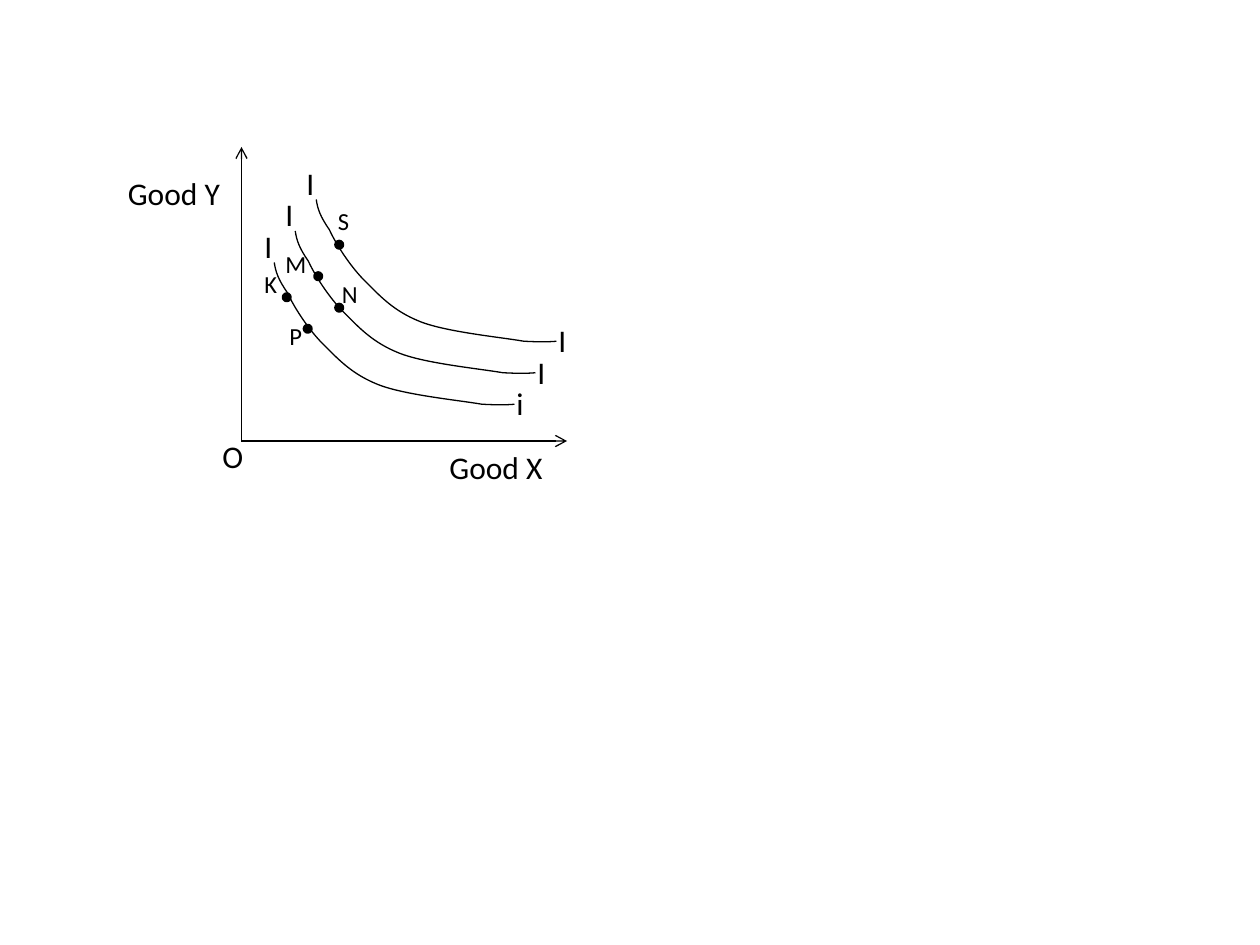
from dataclasses import dataclass

from pptx import Presentation
from pptx.dml.color import RGBColor
from pptx.enum.shapes import MSO_CONNECTOR, MSO_SHAPE
from pptx.enum.text import MSO_AUTO_SIZE
from pptx.oxml.ns import qn
from pptx.oxml.xmlchemy import OxmlElement
from pptx.util import Pt

LINE = MSO_CONNECTOR.STRAIGHT
OVAL = MSO_SHAPE.OVAL
FIT = MSO_AUTO_SIZE.SHAPE_TO_FIT_TEXT
SCALE = 914400 // 96


@dataclass(frozen=True)
class Theme:
    ink: RGBColor = RGBColor(0, 0, 0)
    font: str = "Calibri"
    large: int = 18
    small: int = 14
    thin: float = 0.75
    thick: int = 2


def px(num):
    return num * SCALE


class Chart:
    """Draws the parts of an indifference map on one slide."""

    def __init__(self, slide, theme):
        self.shapes = slide.shapes
        self.theme = theme

    def stroke(self, shape, width):
        shape.line.color.rgb = self.theme.ink
        shape.line.width = Pt(width)

    def axis(self, start, end):
        line = self.shapes.add_connector(LINE, *map(px, start + end))
        self.stroke(line, self.theme.thin)
        props = line.element.spPr
        tip = OxmlElement("a:tailEnd")
        tip.set("type", "arrow")
        props.find(qn("a:ln")).append(tip)
        props.append(OxmlElement("a:effectLst"))

    def curve(self, left, top, knots):
        spots = [(px(left + x), px(top + y)) for x, y in knots]
        form = self.shapes.build_freeform(*spots[0])
        form.add_line_segments(spots[1:], close=False)
        shape = form.convert_to_shape()
        legs = list(shape.element.iter(qn("a:lnTo")))
        for i in range(0, len(legs), 3):
            bend = OxmlElement("a:cubicBezTo")
            legs[i].addprevious(bend)
            for leg in legs[i:i + 3]:
                bend.append(leg[0])
                leg.getparent().remove(leg)
        shape.shadow.inherit = False
        shape.fill.background()
        self.stroke(shape, self.theme.thin)

    def dot(self, left, top, size=5):
        shape = self.shapes.add_shape(OVAL, *map(px, (left, top, size, size)))
        shape.shadow.inherit = False
        shape.fill.solid()
        shape.fill.fore_color.rgb = self.theme.ink
        self.stroke(shape, self.theme.thick)

    def label(self, text, left, top, width, size):
        high = 39 if size == self.theme.large else 33
        box = self.shapes.add_textbox(*map(px, (left, top, width, high)))
        frame = box.text_frame
        frame.word_wrap = False
        frame.auto_size = FIT
        frame.text = text
        font = frame.paragraphs[0].runs[0].font
        font.name = self.theme.font
        font.size = Pt(size)
        font.color.rgb = self.theme.ink


ORIGIN = (184, 336)
TIPS = [(184, 112), (432, 336)]
KNOTS = [
    (0, 0), (1, 7), (3, 13), (10, 23),
    (15, 34), (26, 51), (37, 62),
    (49, 74), (59, 85), (79, 93),
    (99, 101), (141, 105), (158, 108),
    (176, 109), (183, 108), (183, 108),
]
CURVES = [(209, 200, "i"), (225, 176, "I"), (241, 152, "I")]
DOTS = [(240, 208), (256, 184), (216, 224), (256, 232), (232, 248)]
POINTS = [
    ("S", 248, 152, 28), ("M", 208, 185, 36), ("K", 192, 200, 29),
    ("P", 211, 240, 29), ("N", 251, 208, 32),
]
NAMES = [
    ("Good X", 333, 337, 91), ("Good Y", 88, 128, 90), ("O", 160, 328, 36),
]


def main():
    deck = Presentation()
    deck.slide_width, deck.slide_height = px(960), px(720)
    theme = Theme()
    chart = Chart(deck.slides.add_slide(deck.slide_layouts[6]), theme)
    for tip in TIPS:
        chart.axis(ORIGIN, tip)
    for left, top, end in CURVES:
        chart.curve(left, top, KNOTS)
    for left, top, end in CURVES:
        chart.label("I", left - 17, top - 32, 26, theme.large)
    for left, top, end in CURVES:
        chart.label(end, left + 175, top + 88, 26, theme.large)
    for spot in DOTS:
        chart.dot(*spot)
    for point in POINTS:
        chart.label(*point, theme.small)
    for name in NAMES:
        chart.label(*name, theme.large)
    deck.save("out.pptx")


if __name__ == "__main__":
    main()
